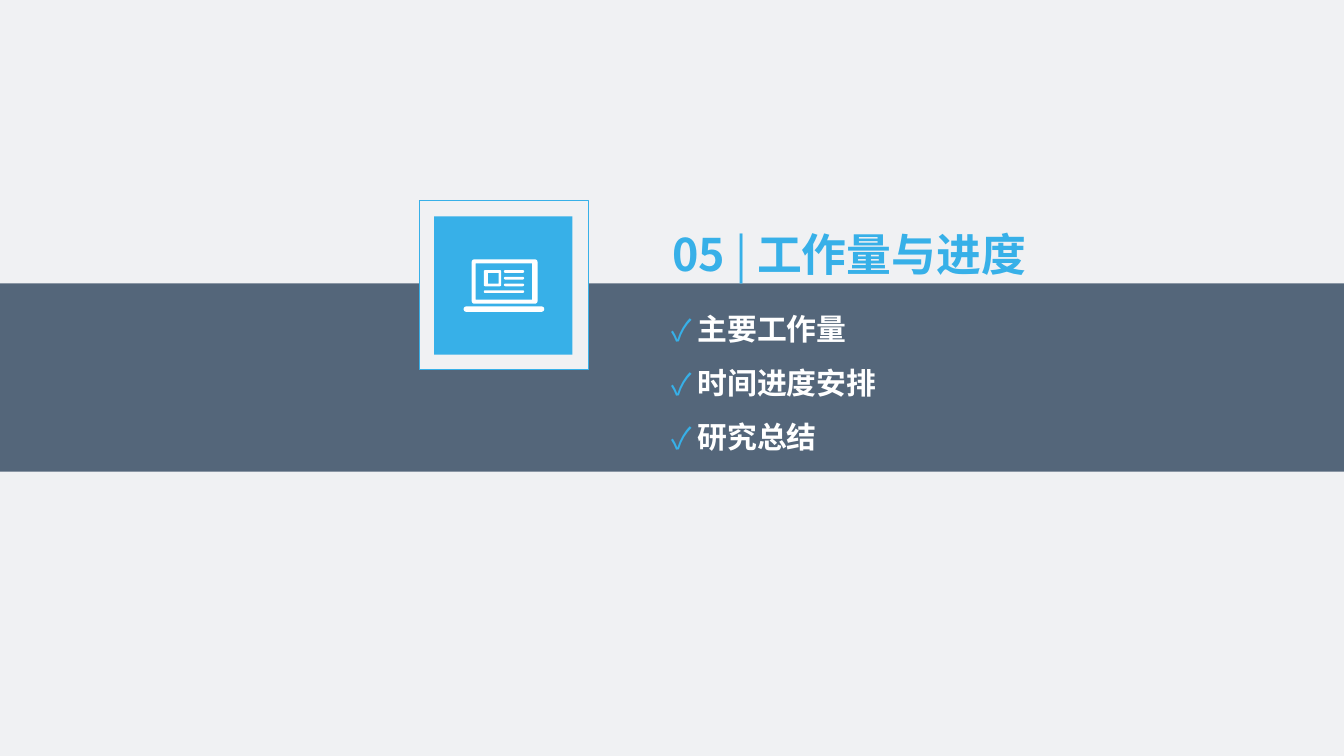
from math import cos, pi, sin

from lxml import etree
from pptx import Presentation
from pptx.dml.color import RGBColor
from pptx.enum.shapes import MSO_SHAPE
from pptx.enum.text import MSO_AUTO_SIZE
from pptx.oxml.ns import qn
from pptx.util import Inches, Pt

RECTANGLE = MSO_SHAPE.RECTANGLE
FIT_SHAPE = MSO_AUTO_SIZE.SHAPE_TO_FIT_TEXT
FONT = "Noto Sans CJK SC"
PALE = RGBColor(0xF0, 0xF1, 0xF3)
SLATE = RGBColor(0x54, 0x66, 0x7A)
BLUE = RGBColor(0x37, 0xB0, 0xE8)
WHITE = RGBColor(0xFF, 0xFF, 0xFF)


def add_text_frame(slide, left, top, width, height):
    frame = slide.shapes.add_textbox(
        Inches(left), Inches(top), Inches(width), Inches(height)
    ).text_frame
    frame.margin_left = frame.margin_right = 0
    frame.margin_top = frame.margin_bottom = 0
    frame.word_wrap = True
    frame.auto_size = FIT_SHAPE
    return frame


def add_run(paragraph, text, size, color, bold=True):
    run = paragraph.add_run()
    run.text = text
    run.font.size = Pt(size)
    run.font.bold = bold
    run.font.color.rgb = color
    run.font.name = FONT
    etree.SubElement(run.font._element, qn("a:ea"), typeface=FONT)


presentation = Presentation()
presentation.slide_width = Inches(10)
presentation.slide_height = Inches(10) * 9 // 16
slide = presentation.slides.add_slide(presentation.slide_layouts[6])
slide.background.fill.solid()
slide.background.fill.fore_color.rgb = PALE

panels = [
    (0, 2.11, 10, 1.4, SLATE, None),
    (3.12, 1.49, 1.26, 1.26, PALE, BLUE),
    (3.23, 1.61, 1.03, 1.03, BLUE, None),
]
for left, top, width, height, fill, outline in panels:
    shape = slide.shapes.add_shape(
        RECTANGLE, Inches(left), Inches(top), Inches(width), Inches(height)
    )
    shape.shadow.inherit = False
    shape.fill.solid()
    shape.fill.fore_color.rgb = fill
    if outline:
        shape.line.color.rgb = outline
        shape.line.width = Pt(0.5)
    else:
        shape.line.fill.background()

frame = add_text_frame(slide, 5, 2.18, 1.56, 1.15)
for index, topic in enumerate(["主要工作量", "时间进度安排", "研究总结"]):
    paragraph = frame.add_paragraph() if index else frame.paragraphs[0]
    paragraph.line_spacing = 1.5
    properties = paragraph._p.get_or_add_pPr()
    properties.set("marL", str(Inches(0.19)))
    properties.set("indent", str(-Inches(0.19)))
    bullet_color = etree.SubElement(properties, qn("a:buClr"))
    etree.SubElement(bullet_color, qn("a:srgbClr"), val=str(BLUE))
    etree.SubElement(properties, qn("a:buFont"), typeface=FONT)
    etree.SubElement(properties, qn("a:buChar"), char="✓")
    add_run(paragraph, topic, 16, WHITE)

title = add_text_frame(slide, 5, 1.49, 2.92, 0.53).paragraphs[0]
title.line_spacing = 1.5
add_run(title, "05 ", 24, BLUE)
add_run(title, "| ", 24, BLUE, bold=False)
add_run(title, "工作量与进度", 24, BLUE)

laptop_parts = [
    (3.45, 2.28, 4.05, 2.32, 0.02),
    (3.51, 1.93, 4, 2.26, 0.02),
    (3.54, 1.96, 3.96, 2.23, 0),
    (3.6, 2.01, 3.73, 2.13, 0.01),
    (3.63, 2.03, 3.71, 2.11, 0),
    (3.6, 2.16, 3.9, 2.18, 0.01),
]
laptop_parts += [(3.75, top, 3.9, top + 0.02, 0.01) for top in (2.01, 2.06, 2.11)]

builder = None
for left, top, right, bottom, radius in laptop_parts:
    centers = [
        (right - radius, bottom - radius),
        (left + radius, bottom - radius),
        (left + radius, top + radius),
        (right - radius, top + radius),
    ]
    points = []
    for corner, (x, y) in enumerate(centers):
        for step in range(5):
            angle = (corner + step / 4) * pi / 2
            points.append(
                (Inches(x + radius * cos(angle)), Inches(y + radius * sin(angle)))
            )
    if builder is None:
        builder = slide.shapes.build_freeform(*points[0])
    else:
        builder.move_to(*points[0])
    builder.add_line_segments(points[1:], close=True)

laptop = builder.convert_to_shape()
laptop.shadow.inherit = False
laptop.fill.solid()
laptop.fill.fore_color.rgb = WHITE
laptop.line.fill.background()

presentation.save("out.pptx")
